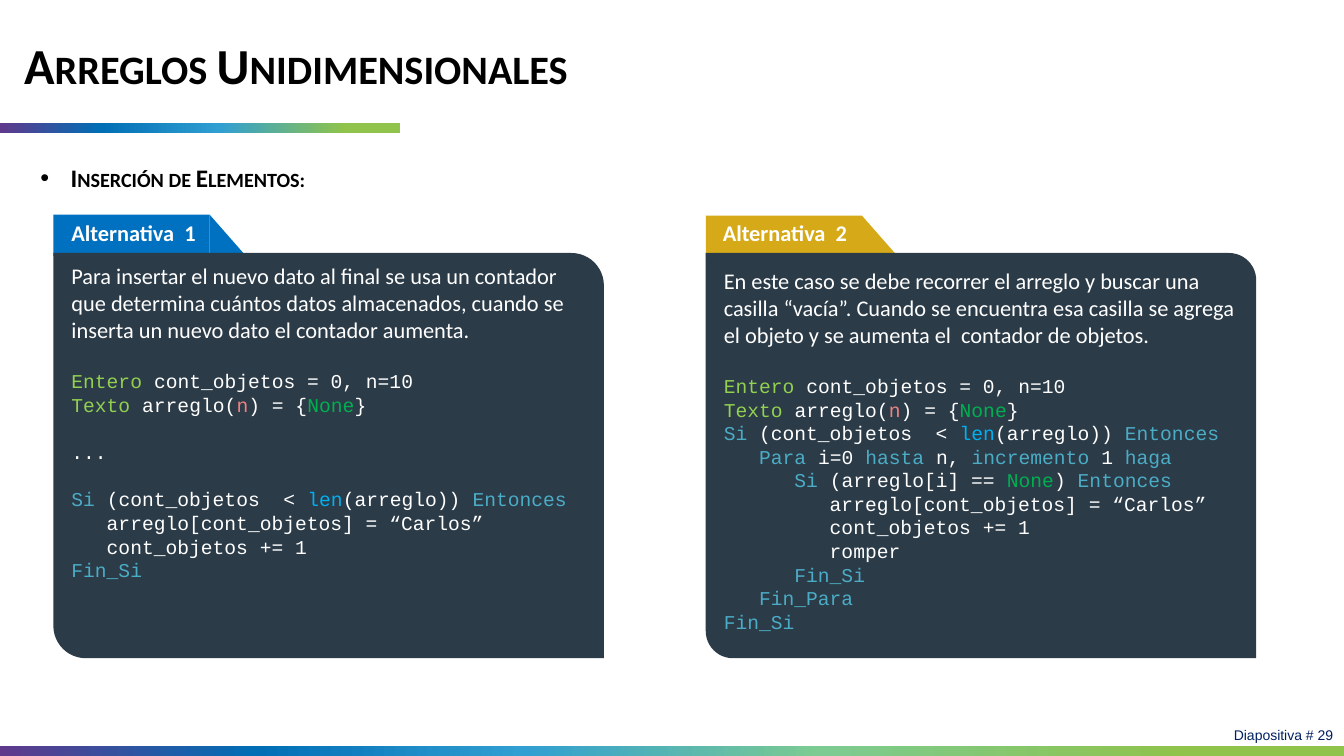
from lxml.etree import SubElement
from pptx import Presentation
from pptx.dml.color import RGBColor
from pptx.enum.shapes import MSO_SHAPE as Shape
from pptx.enum.text import MSO_ANCHOR as Anchor, MSO_AUTO_SIZE as AutoSize, PP_ALIGN as Align
from pptx.oxml.ns import qn
from pptx.util import Inches, Pt

WHITE = RGBColor(0xFF, 0xFF, 0xFF)
BLACK = RGBColor(0x00, 0x00, 0x00)
NAVY = RGBColor(0x00, 0x20, 0x60)
SLATE = RGBColor(0x2B, 0x3B, 0x48)
BLUE = RGBColor(0x00, 0x70, 0xC0)
GOLD = RGBColor(0xD6, 0xA9, 0x18)
LIME = RGBColor(0x92, 0xD0, 0x50)
CORAL = RGBColor(0xF0, 0x80, 0x80)
GREEN = RGBColor(0x00, 0xB0, 0x50)
SKY = RGBColor(0x00, 0xB0, 0xF0)
TEAL = RGBColor(0x4B, 0xAC, 0xC6)
BAR_PURPLE = RGBColor(0x5F, 0x39, 0x8C)
BAR_BLUE = RGBColor(0x00, 0x6E, 0xB5)
BAR_SKY = RGBColor(0x31, 0x9F, 0xD1)
BAR_MINT = RGBColor(0x7C, 0xCB, 0x92)
BAR_GREEN = RGBColor(0x8F, 0xC3, 0x4B)

TOKEN_COLORS = {"Entero": LIME, "Texto": LIME, "n": CORAL, "None": GREEN, "len": SKY}
TOKEN_COLORS.update(dict.fromkeys(
    ["Si", "Entonces", "Para", "hasta", "incremento", "haga", "Fin_Si", "Fin_Para"], TEAL))

TITLE_FONT = {"name": "Calibri", "size": Pt(36), "bold": True}
TOPIC_FONT = {"name": "Calibri", "size": Pt(18), "bold": True}
LABEL_FONT = {"name": "Calibri", "size": Pt(16), "bold": True}
PROSE_FONT = {"name": "Calibri", "size": Pt(16)}
CODE_FONT = {"name": "Courier New", "size": Pt(14)}
FOOTER_FONT = {"name": "Arial", "size": Pt(10)}

PROSE_GAP = Pt(19)
CODE_GAP = Pt(17)

DECLARATIONS = [
    "Entero |cont_objetos = 0, n=10",
    "Texto| arreglo(|n|) = {|None|}",
]
CONDITION = "Si| (cont_objetos  < |len|(arreglo)) |Entonces"

ALTERNATIVES = [
    {
        "label": "Alternativa  1", "color": BLUE, "left": 0.53, "tab_top": 2.13,
        "label_left": 0.61, "label_top": 2.13, "text_top": 2.55, "text_height": 3.3,
        "radius": 0.08,
        "prose": "Para insertar el nuevo dato al final se usa un contador que determina "
                 "cuántos datos almacenados, cuando se inserta un nuevo dato el contador aumenta.",
        "blocks": [
            DECLARATIONS,
            ["..."],
            [
                CONDITION,
                "   arreglo[cont_objetos] = “Carlos”",
                "   cont_objetos += 1",
                "Fin_Si",
            ],
        ],
    },
    {
        "label": "Alternativa  2", "color": GOLD, "left": 7, "tab_top": 2.14,
        "label_left": 7.07, "label_top": 2.12, "text_top": 2.6, "text_height": 3.77,
        "radius": 0.067,
        "prose": "En este caso se debe recorrer el arreglo y buscar una casilla “vacía”. "
                 "Cuando se encuentra esa casilla se agrega el objeto y se aumenta el  "
                 "contador de objetos.",
        "blocks": [
            DECLARATIONS + [
                CONDITION,
                "   |Para |i=0 |hasta| n, |incremento |1 |haga",
                "      Si| (arreglo[i] == |None|) |Entonces",
                "         arreglo[cont_objetos] = “Carlos”",
                "         cont_objetos += 1",
                "         romper",
                "      Fin_Si",
                "   Fin_Para",
                "Fin_Si",
            ],
        ],
    },
]


def apply_format(target, values):
    for name, value in values.items():
        setattr(target, name, value)


def add_run(paragraph, text, font_values, color):
    run = paragraph.add_run()
    run.text = text
    apply_format(run.font, font_values)
    run.font.color.rgb = color
    return run


def add_text_box(slide, left, top, width, height):
    box = slide.shapes.add_textbox(Inches(left), Inches(top), Inches(width), Inches(height))
    box.text_frame.word_wrap = True
    return box.text_frame


def add_shape(shapes, kind, left, top, width, height):
    shape = shapes.add_shape(kind, Inches(left), Inches(top), Inches(width), Inches(height))
    shape.shadow.inherit = False
    shape.line.fill.background()
    return shape


def add_filled_shape(shapes, kind, left, top, width, height, color):
    shape = add_shape(shapes, kind, left, top, width, height)
    shape.fill.solid()
    shape.fill.fore_color.rgb = color
    return shape


def add_gradient_bar(slide, top, width, stops):
    bar = add_shape(slide.shapes, Shape.RECTANGLE, 0, top, width, 0.1)
    bar.fill.gradient()
    bar.fill.gradient_angle = 0
    stop_list = bar.element.spPr.find(".//" + qn("a:gsLst"))
    for stop in list(stop_list):
        stop_list.remove(stop)
    for percent, color in stops:
        stop = SubElement(stop_list, qn("a:gs"), pos=str(percent * 1000))
        SubElement(stop, qn("a:srgbClr"), val=str(color))


def fill_placeholder(placeholder, area, anchor, text, font_values):
    apply_format(placeholder, dict(zip(("left", "top", "width", "height"), map(Inches, area))))
    frame = placeholder.text_frame
    apply_format(frame, {"vertical_anchor": anchor, "word_wrap": True, "auto_size": AutoSize.NONE})
    paragraph = frame.paragraphs[0]
    apply_format(paragraph, {"alignment": Align.LEFT, "space_before": Pt(0)})
    run = add_run(paragraph, text, font_values, BLACK)
    run.font._element.set("cap", "small")
    return paragraph


def add_bullet(paragraph, indent):
    properties = paragraph._p.get_or_add_pPr()
    properties.set("marL", str(Inches(indent)))
    properties.set("indent", str(-Inches(indent)))
    SubElement(properties, qn("a:buFont"), typeface="Arial")
    SubElement(properties, qn("a:buChar"), char="•")


def add_code_line(frame, line, gap):
    paragraph = frame.add_paragraph()
    paragraph.space_before = gap
    for token in line.split("|"):
        add_run(paragraph, token, CODE_FONT, TOKEN_COLORS.get(token.strip(), WHITE))


def add_alternative(slide, item):
    left, top, color = item["left"], item["tab_top"], item["color"]
    tab = slide.shapes.add_group_shape()
    add_filled_shape(tab.shapes, Shape.RECTANGLE, left, top, 1.55, 0.41, color)
    add_filled_shape(tab.shapes, Shape.RIGHT_TRIANGLE, left + 1.55, top, 0.36, 0.41, color)

    card = add_filled_shape(slide.shapes, Shape.ROUND_2_DIAG_RECTANGLE, left, 2.51, 5.46, 4.02, SLATE)
    card.adjustments[0] = 0
    card.adjustments[1] = item["radius"]

    frame = add_text_box(slide, left + 0.08, item["text_top"], 5.38, item["text_height"])
    add_run(frame.paragraphs[0], item["prose"], PROSE_FONT, WHITE)
    for block_index, block in enumerate(item["blocks"]):
        block_gap = CODE_GAP if block_index else PROSE_GAP
        for line_index, line in enumerate(block):
            add_code_line(frame, line, Pt(0) if line_index else block_gap)

    label = add_text_box(slide, item["label_left"], item["label_top"], 1.55, 0.37)
    add_run(label.paragraphs[0], item["label"], LABEL_FONT, WHITE)


def add_footer(slide):
    paragraph = add_text_box(slide, 11.95, 7.16, 1.37, 0.28).paragraphs[0]
    paragraph.alignment = Align.RIGHT
    add_run(paragraph, "Diapositiva # 29", FOOTER_FONT, NAVY)


def main():
    presentation = Presentation()
    presentation.slide_width = Inches(13.33)
    presentation.slide_height = Inches(7.5)
    slide = presentation.slides.add_slide(presentation.slide_layouts[1])
    add_gradient_bar(slide, 1.22, 3.97, [
        (0, BAR_PURPLE), (25, BAR_BLUE), (55, BAR_SKY), (86, BAR_GREEN)])
    add_gradient_bar(slide, 7.4, 13.33, [
        (0, BAR_PURPLE), (19, BAR_BLUE), (39, BAR_SKY), (61, BAR_MINT), (88, BAR_GREEN)])
    add_footer(slide)
    title = fill_placeholder(slide.shapes.title, (0.14, 0, 9.43, 1.35), Anchor.MIDDLE,
                             "Arreglos Unidimensionales", TITLE_FONT)
    title.line_spacing = 0.9
    for item in ALTERNATIVES:
        add_alternative(slide, item)
    topic = fill_placeholder(slide.placeholders[1], (0.3, 1.56, 4.32, 0.58), Anchor.TOP,
                             "Inserción de Elementos:", TOPIC_FONT)
    add_bullet(topic, 0.3)
    presentation.save("out.pptx")


if __name__ == "__main__":
    main()
